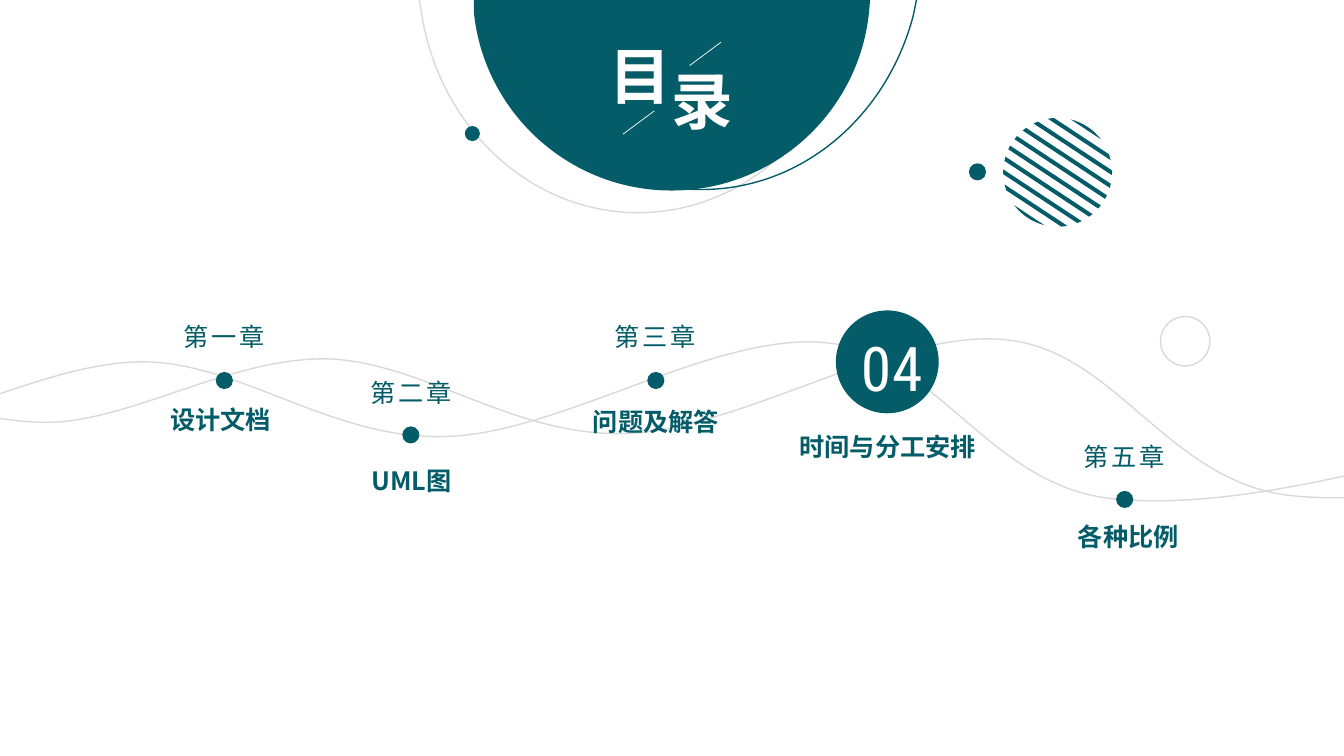
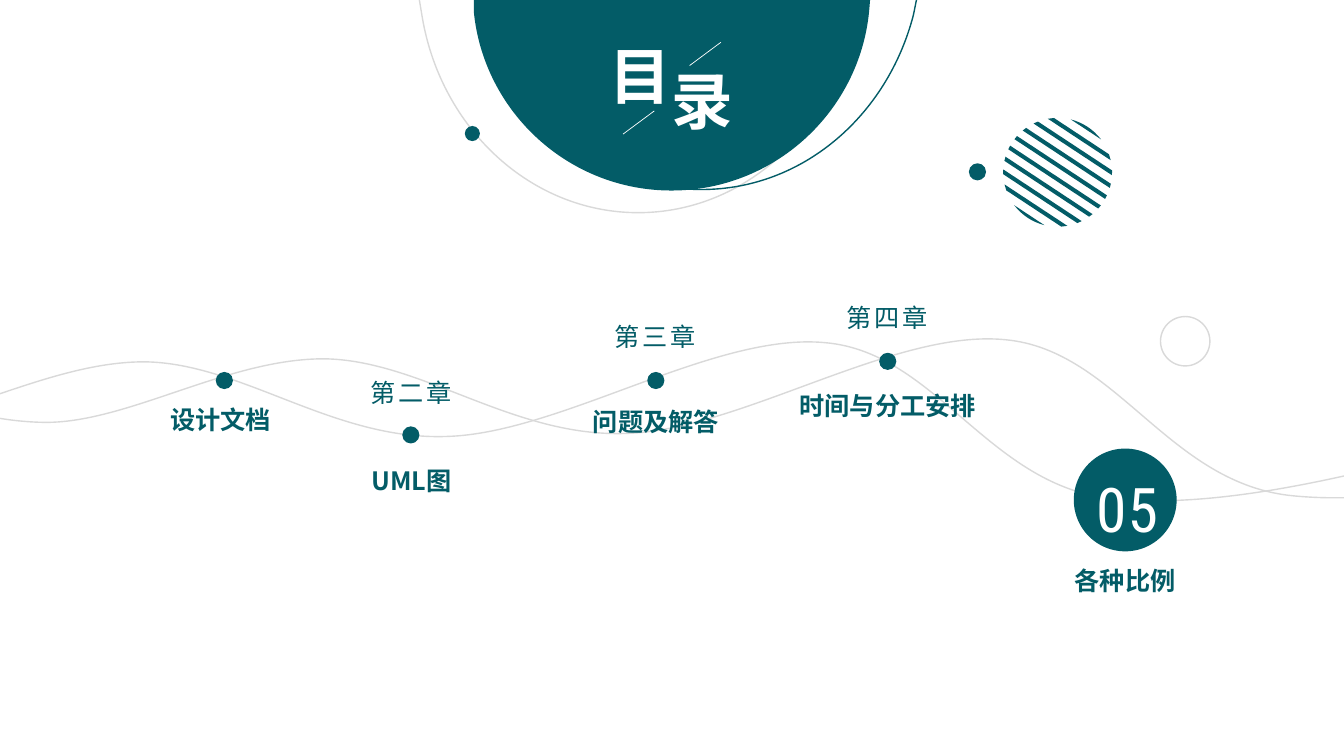
from math import sqrt

from lxml.etree import SubElement
from pptx import Presentation
from pptx.dml.color import RGBColor
from pptx.enum.shapes import MSO_CONNECTOR, MSO_SHAPE
from pptx.enum.text import MSO_ANCHOR, MSO_AUTO_SIZE, PP_ALIGN
from pptx.oxml.ns import qn
from pptx.util import Inches, Pt

TEAL = RGBColor(0x03, 0x5C, 0x67)
GRAY = RGBColor(0xD9, 0xD9, 0xD9)
WHITE = RGBColor(0xFF, 0xFF, 0xFF)
SANS = "Noto Sans CJK SC"
SLIM = "Roboto Condensed"

TITLE = {"font": {"size": Pt(44), "name": SANS, "bold": True}, "color": WHITE, "gap": 0}
HEAD = {"font": {"size": Pt(18), "name": SANS}, "color": TEAL, "gap": 200}
TOPIC = {"font": {"size": Pt(18), "name": SANS, "bold": True}, "color": TEAL, "gap": 0}
COUNT = {"font": {"size": Pt(44), "name": SLIM}, "color": WHITE, "gap": 80}
FRAME = {"word_wrap": False, "auto_size": MSO_AUTO_SIZE.SHAPE_TO_FIT_TEXT,
         "vertical_anchor": MSO_ANCHOR.TOP,
         "margin_left": Inches(0.1), "margin_right": Inches(0.1),
         "margin_top": Inches(0.05), "margin_bottom": Inches(0.05)}
PLACE = ("left", "top", "width", "height")


def paint(shape, fill, line):
    shape.shadow.inherit = False
    if fill is None:
        shape.fill.background()
    else:
        shape.fill.solid()
        shape.fill.fore_color.rgb = fill
    if line is None:
        shape.line.fill.background()
    else:
        shape.line.color.rgb = line
        shape.line.width = Pt(1)


def write(box, text, style):
    frame = box.text_frame
    for key, value in FRAME.items():
        setattr(frame, key, value)
    para = frame.paragraphs[0]
    para.alignment = PP_ALIGN.CENTER
    run = para.add_run()
    run.text = text
    for key, value in style["font"].items():
        setattr(run.font, key, value)
    run.font.color.rgb = style["color"]
    for props in box.element.iter(qn("a:rPr")):
        if style["gap"]:
            props.set("spc", str(style["gap"]))
        SubElement(props, qn("a:ea"), typeface=style["font"]["name"])
    return para


wave = [(-1.8, 3.44),
        (-1.11, 3.8, -0.42, 4.17, 0.42, 4.19),
        (1.25, 4.21, 2.26, 3.55, 3.23, 3.56),
        (4.19, 3.58, 5.09, 4.34, 6.21, 4.3),
        (7.34, 4.27, 8.87, 3.26, 9.97, 3.37),
        (11.08, 3.47, 11.59, 4.81, 12.84, 4.92),
        (14.09, 5.04, 15.78, 4.55, 17.46, 4.06)]
ring = [(8.5, 0), (8.48, 0.18),
        (8.28, 1.28, 7.39, 2.11, 6.33, 2.11),
        (5.27, 2.11, 4.38, 1.28, 4.19, 0.18), (4.16, 0)]
arc = [(9.09, 0), (9.06, 0.15),
       (8.8, 1.15, 7.96, 1.88, 6.96, 1.88),
       (5.97, 1.88, 5.13, 1.15, 4.86, 0.15), (4.83, 0)]
disc = [(4.7, 0), (8.63, 0), (8.62, 0.12),
        (8.52, 1.11, 7.68, 1.89, 6.66, 1.89),
        (5.64, 1.89, 4.8, 1.11, 4.7, 0.12)]

RADIUS = 0.54
stripes = []
for side in (-1, 1):
    edge, tip = side * 0.51, side * RADIUS
    stripes.append([(-0.18, edge), (-0.12, side * 0.53, -0.06, tip, 0, tip),
                    (0.06, tip, 0.12, side * 0.53, 0.18, edge)])
for index in range(8):
    center = (index - 3.5) * 0.82 / 7
    high, low = center - 0.02, center + 0.02
    wide, broad = sqrt(RADIUS ** 2 - high ** 2), sqrt(RADIUS ** 2 - low ** 2)
    stripes.append([(-wide, high), (wide, high), (broad, low), (-broad, low)])

outlines = [(stripes, 10.49, 1.71, 33.4, TEAL, None),
            ([wave], 0, 0, 0, None, GRAY), ([wave], -1.78, 0.03, 0, None, GRAY),
            ([ring], 0, 0, 0, None, GRAY), ([arc], 0, 0, 0, None, TEAL),
            ([disc], 0, 0, 0, TEAL, None)]

dots = [(2.14, 3.69, 0.17), (3.99, 4.23, 0.17), (6.42, 3.69, 0.17),
        (8.72, 3.5, 0.17), (11.07, 4.87, 0.17), (9.61, 1.62, 0.17), (4.61, 1.25, 0.15)]
heads = [("第二章", 3.56, 3.69), ("第三章", 5.98, 3.14)]
topics = [("设计文档", 1.59, 3.96, 1.2), ("UML图", 3.56, 4.57, 1.04),
          ("问题及解答", 5.78, 3.98, 1.45)]
pages = [
    {"heads": [("第一章", 1.7, 3.14), ("第五章", 10.63, 4.33)],
     "topics": [("时间与分工安排", 7.83, 4.23, 1.95), ("各种比例", 10.59, 5.12, 1.2)],
     "badge": (8.29, 3.08), "count": ("04", 8.38, 3.08, 0.93)},
    {"heads": [("第四章", 8.28, 2.95)],
     "topics": [("时间与分工安排", 7.83, 3.82, 1.95), ("各种比例", 10.56, 5.56, 1.2)],
     "badge": (10.65, 4.45), "count": ("05", 10.7, 4.48, 0.96)},
]

deck = Presentation()
deck.slide_width, deck.slide_height = Inches(13.33), Inches(7.5)

for page in pages:
    slide = deck.slides.add_slide(deck.slide_layouts[5])
    shapes = slide.shapes

    for tracks, right, down, turn, fill, line in outlines:
        pen = None
        for track in tracks:
            ends = [(Inches(part[-2] + right), Inches(part[-1] + down)) for part in track]
            if pen is None:
                pen = shapes.build_freeform(*ends[0], scale=1.0)
            else:
                pen.move_to(*ends[0])
            pen.add_line_segments(ends[1:], close=fill is not None)
        form = pen.convert_to_shape()
        parts = [part for track in tracks for part in track[1:]]
        for part, node in zip(parts, list(form.element.iter(qn("a:lnTo")))):
            if len(part) == 2:
                continue
            bend = SubElement(node.getparent(), qn("a:cubicBezTo"))
            for x, y in zip(part[::2], part[1::2]):
                SubElement(bend, qn("a:pt"), x=str(Inches(x + right) - form.left),
                           y=str(Inches(y + down) - form.top))
            node.getparent().replace(node, bend)
        form.rotation = turn
        paint(form, fill, line)

    rounds = [(*dot, TEAL, None) for dot in dots]
    rounds += [(11.51, 3.14, 0.49, WHITE, GRAY), (*page["badge"], 1.02, TEAL, None)]
    for left, top, size, fill, line in rounds:
        oval = shapes.add_shape(MSO_SHAPE.OVAL, Inches(left), Inches(top),
                                Inches(size), Inches(size))
        paint(oval, fill, line)

    title = shapes.title
    for key, value in zip(PLACE, (5.94, 0.33, 0.82, 0.84)):
        setattr(title, key, Inches(value))
    write(title, "目", TITLE)
    shapes.element.append(title.element)

    for x, y in [(6.18, 1.33), (6.84, 0.65)]:
        slash = shapes.add_connector(MSO_CONNECTOR.STRAIGHT, Inches(x), Inches(y),
                                     Inches(x + 0.31), Inches(y - 0.23))
        slash.line.color.rgb = WHITE
        slash.line.width = Pt(0.5)
        SubElement(slash.element.spPr, qn("a:effectLst"))

    labels = [("录", 6.56, 0.58, 0.82, 0.84, TITLE)]
    labels += [(*head, 1.04, 0.4, HEAD) for head in heads + page["heads"]]
    labels += [(*topic, 0.4, TOPIC) for topic in topics + page["topics"]]
    for text, left, top, width, height, style in labels:
        box = shapes.add_textbox(Inches(left), Inches(top), Inches(width), Inches(height))
        write(box, text, style)

    text, left, top, width = page["count"]
    box = shapes.add_textbox(Inches(left), Inches(top), Inches(width), Inches(0.99))
    para = write(box, text, COUNT)
    box.text_frame.word_wrap = True
    para.line_spacing = 1.2
    para.space_after = Pt(6)

deck.save("out.pptx")
